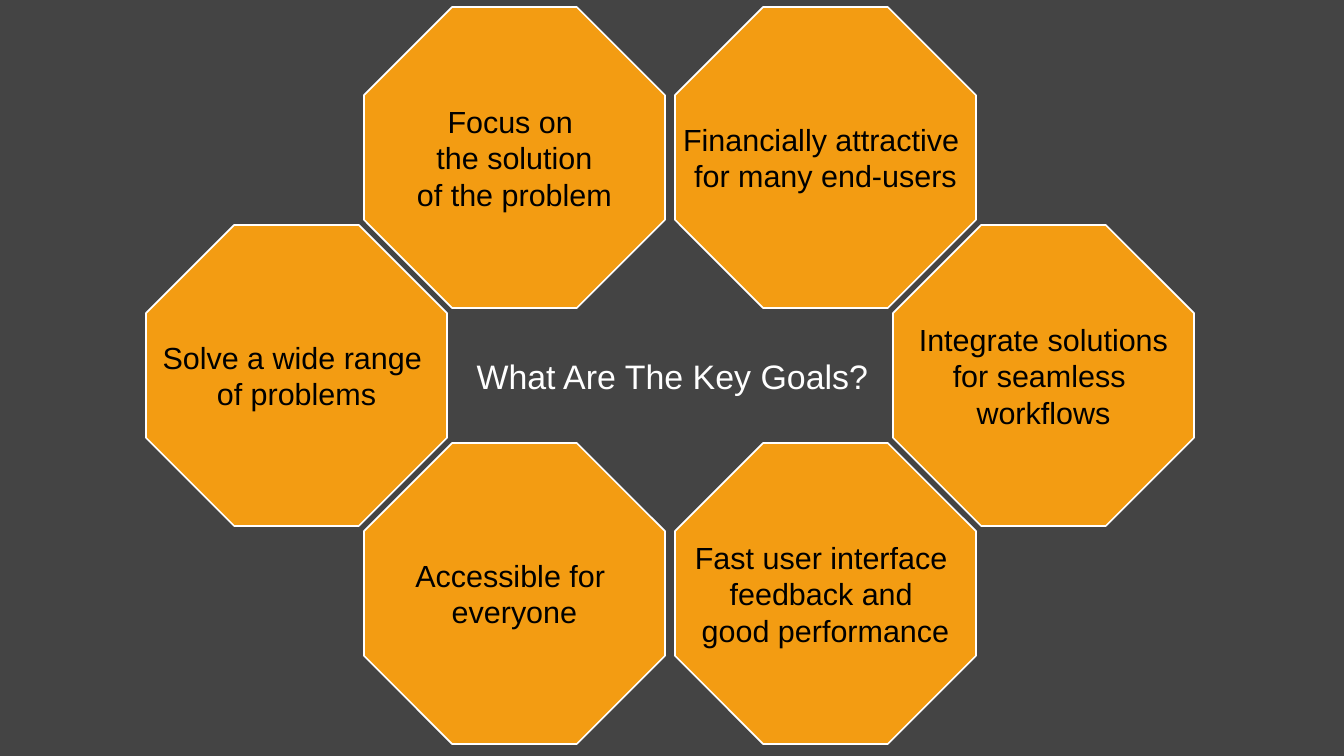
import dataclasses

import pptx
import pptx.dml.color
import pptx.enum.shapes
import pptx.enum.text
import pptx.util

EMU_PER_PX = 914400 / 122
PAGE_WIDTH, PAGE_HEIGHT = 1344, 756
TITLE = "What Are The Key Goals?"
TITLE_BOX = (458, 314, 429, 124)

OCTAGON_SIZE = 301
OCTAGON_CORNER = 0.293
STEP = 218
RING_LEFT, RING_TOP = 146, 7
INNER_GAP = 311
COLUMNS = (
    RING_LEFT,
    RING_LEFT + STEP,
    RING_LEFT + STEP + INNER_GAP,
    RING_LEFT + 2 * STEP + INNER_GAP,
)
GOALS = (
    (1, 0, "Focus on \nthe solution\nof the problem"),
    (2, 0, "Financially attractive \nfor many end-users"),
    (3, 1, "Integrate solutions\nfor seamless \nworkflows"),
    (0, 1, "Solve a wide range \nof problems"),
    (1, 2, "Accessible for \neveryone"),
    (2, 2, "Fast user interface \nfeedback and \ngood performance"),
)


@dataclasses.dataclass(frozen=True)
class Theme:
    background: str = "444444"
    octagon: str = "F39C12"
    outline: str = "FFFFFF"
    title_text: str = "FFFFFF"
    goal_text: str = "000000"
    font: str = "Arial"
    title_size: int = 20
    goal_size: int = 18
    outline_width: int = 1


THEME = Theme()


def px(length):
    return pptx.util.Emu(round(length * EMU_PER_PX))


def paint(fill, color):
    fill.solid()
    fill.fore_color.rgb = pptx.dml.color.RGBColor.from_string(color)


def set_text(frame, text, size, color, margins, wrap):
    frame.text = text
    frame.word_wrap = wrap
    frame.vertical_anchor = pptx.enum.text.MSO_ANCHOR.MIDDLE
    frame.margin_left = frame.margin_right = px(margins[0])
    frame.margin_top = frame.margin_bottom = px(margins[1])
    for para in frame.paragraphs:
        para.alignment = pptx.enum.text.PP_ALIGN.CENTER
        for span in para.runs:
            span.font.name = THEME.font
            span.font.size = pptx.util.Pt(size)
            paint(span.font.fill, color)


def place_title(page):
    title = page.shapes.title
    title.left, title.top, title.width, title.height = map(px, TITLE_BOX)
    set_text(title.text_frame, TITLE, THEME.title_size, THEME.title_text, (0, 0), True)


def add_goal(page, column, row, text):
    octagon = page.shapes.add_shape(
        pptx.enum.shapes.MSO_SHAPE.OCTAGON,
        px(COLUMNS[column]),
        px(RING_TOP + row * STEP),
        px(OCTAGON_SIZE),
        px(OCTAGON_SIZE),
    )
    octagon.adjustments[0] = OCTAGON_CORNER
    octagon.shadow.inherit = False
    paint(octagon.fill, THEME.octagon)
    paint(octagon.line.fill, THEME.outline)
    octagon.line.width = pptx.util.Pt(THEME.outline_width)
    set_text(octagon.text_frame, text, THEME.goal_size, THEME.goal_text, (13, 7), False)


def main():
    """Build the key goals slide as a ring of octagons around its title."""
    deck = pptx.Presentation()
    deck.slide_width, deck.slide_height = px(PAGE_WIDTH), px(PAGE_HEIGHT)
    page = deck.slides.add_slide(deck.slide_layouts.get_by_name("Title Only"))
    paint(page.background.fill, THEME.background)
    place_title(page)
    for column, row, text in GOALS:
        add_goal(page, column, row, text)
    deck.save("out.pptx")


if __name__ == "__main__":
    main()
